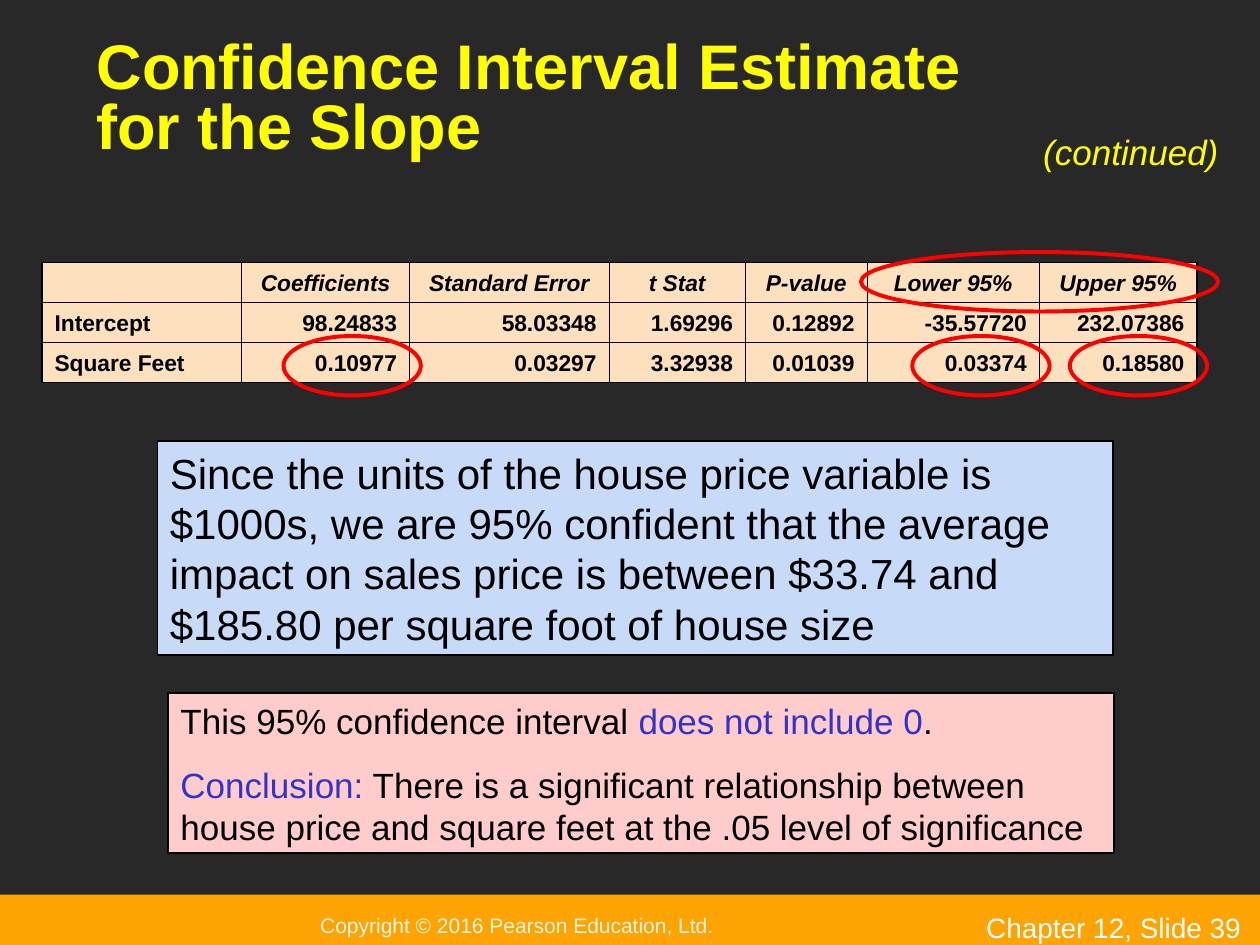
from pptx import Presentation
from pptx.dml.color import RGBColor
from pptx.enum.shapes import MSO_SHAPE as Shape
from pptx.enum.text import MSO_ANCHOR as Anchor, MSO_AUTO_SIZE as AutoSize, PP_ALIGN as Align
from pptx.oxml.ns import qn
from pptx.util import Pt
from lxml.etree import SubElement

FONT = "Arial"
BLACK, WHITE, YELLOW, RED, BLUE = "000000", "FFFFFF", "FFFF00", "FF0000", "3333CC"
COLUMNS = [114, 96, 114, 78, 69.5, 98.5, 90]
ROW_HEIGHT = 22.8
REGRESSION = [
    ["", "Coefficients", "Standard Error", "t Stat", "P-value", "Lower 95%", "Upper 95%"],
    ["Intercept", "98.24833", "58.03348", "1.69296", "0.12892", "-35.57720", "232.07386"],
    ["Square Feet", "0.10977", "0.03297", "3.32938", "0.01039", "0.03374", "0.18580"],
]


def color(hex_code):
    return RGBColor.from_string(hex_code)


def style(run, size, hex_code, bold=False, italic=False):
    font = run.font
    font.name, font.size, font.bold, font.italic = FONT, Pt(size), bold, italic
    font.color.rgb = color(hex_code)


def paint(shape, fill=None, line=None, width=1):
    shape.shadow.inherit = False
    if fill:
        shape.fill.solid()
        shape.fill.fore_color.rgb = color(fill)
    else:
        shape.fill.background()
    if line:
        shape.line.color.rgb = color(line)
        shape.line.width = Pt(width)
    else:
        shape.line.fill.background()


def add_label(slide, box, text, size, hex_code, wrap=True, italic=False):
    label = slide.shapes.add_textbox(*map(Pt, box)).text_frame
    label.word_wrap = wrap
    label.text = text
    style(label.paragraphs[0].runs[0], size, hex_code, italic=italic)


def add_note(slide, box, fill, size, paragraphs):
    """Outlined box; each paragraph is a list of (text, colour) pieces."""
    note = slide.shapes.add_shape(Shape.RECTANGLE, *map(Pt, box))
    paint(note, fill, BLACK)
    frame = note.text_frame
    frame.word_wrap = True
    frame.vertical_anchor = Anchor.TOP
    for index, pieces in enumerate(paragraphs):
        paragraph = frame.add_paragraph() if index else frame.paragraphs[0]
        paragraph.alignment = Align.LEFT
        if index:
            paragraph.space_before = Pt(12.5)
        for text, hex_code in pieces:
            run = paragraph.add_run()
            run.text = text
            style(run, size, hex_code)


def add_ring(slide, left, top, width):
    ring = slide.shapes.add_shape(Shape.OVAL, Pt(left), Pt(top), Pt(width), Pt(34))
    paint(ring, line=RED, width=2.25)


def set_borders(cell, outer_sides):
    properties = cell._tc.get_or_add_tcPr()
    for side in "LRTB":
        weight = 1.08 if side in outer_sides else 0.45
        border = SubElement(properties, qn("a:ln" + side), w=str(Pt(weight)))
        fill = SubElement(border, qn("a:solidFill"))
        SubElement(fill, qn("a:srgbClr"), val=BLACK)


def add_regression_table(slide, left, top):
    row_count, column_count = len(REGRESSION), len(COLUMNS)
    table = slide.shapes.add_table(row_count, column_count, Pt(left), Pt(top),
                                   Pt(sum(COLUMNS)), Pt(ROW_HEIGHT * row_count)).table
    table.first_row = table.horz_banding = False
    for column, width in zip(table.columns, COLUMNS):
        column.width = Pt(width)
    for r, values in enumerate(REGRESSION):
        table.rows[r].height = Pt(ROW_HEIGHT)
        for c, value in enumerate(values):
            cell = table.cell(r, c)
            at_edge = {"L": c == 0, "R": c == column_count - 1,
                       "T": r == 0, "B": r == row_count - 1}
            set_borders(cell, [side for side, outer in at_edge.items() if outer])
            cell.fill.solid()
            cell.fill.fore_color.rgb = color("FDE0BD")
            cell.vertical_anchor = Anchor.BOTTOM
            cell.text = value
            paragraph = cell.text_frame.paragraphs[0]
            paragraph.font.size = Pt(13)
            paragraph.alignment = Align.CENTER if r == 0 else Align.RIGHT if c else Align.LEFT
            for run in paragraph.runs:
                style(run, 13, BLACK, bold=True, italic=r == 0)


def set_title(slide, text):
    title = slide.shapes.title
    title.left, title.top, title.width, title.height = map(Pt, (48, 18, 624, 78))
    frame = title.text_frame
    frame.auto_size = AutoSize.NONE
    frame.word_wrap = True
    frame.vertical_anchor = Anchor.BOTTOM
    frame.text = text
    heading = frame.paragraphs[0]
    heading.alignment = Align.LEFT
    heading.line_spacing = 0.8
    for run in heading.runs:
        style(run, 36, YELLOW, bold=True)


def add_footer(slide):
    band = slide.shapes.add_shape(Shape.RECTANGLE, Pt(0), Pt(511.2), Pt(720), Pt(35.3))
    paint(band, "FEA402")
    frame = band.text_frame
    frame.margin_left = Pt(183)
    frame.margin_right = frame.margin_top = frame.margin_bottom = 0
    frame.vertical_anchor = Anchor.MIDDLE
    frame.text = "Copyright © 2016 Pearson Education, Ltd."
    frame.paragraphs[0].alignment = Align.LEFT
    style(frame.paragraphs[0].runs[0], 12, "F3F5E7")
    add_label(slide, (556.5, 517, 163.5, 23), "Chapter 12, Slide 39", 16, WHITE)


def main():
    deck = Presentation()
    deck.slide_width, deck.slide_height = Pt(720), Pt(540)
    slide = deck.slides.add_slide(deck.slide_layouts[5])
    slide.background.fill.solid()
    slide.background.fill.fore_color.rgb = color("282828")

    add_footer(slide)

    # Interpretation of the interval
    add_note(slide, (90, 252, 546, 122.4), "C7DAF7", 24, [[
        ("Since the units of the house price variable is $1000s, we are 95% confident "
         "that the average impact on sales price is between $33.74 and $185.80 per "
         "square foot of house size", BLACK)]])

    # Regression output with the slope and its limits ringed
    add_regression_table(slide, 24, 150)
    for left in (162, 521.3, 611.3):
        add_ring(slide, left, 192, 78.5)
    add_ring(slide, 492, 144, 204)

    # Conclusion
    add_note(slide, (96, 396, 540.7, 91.4), "FFCCCC", 20, [
        [("This 95% confidence interval ", BLACK), ("does not include 0", BLUE), (".", BLACK)],
        [("Conclusion:", BLUE),
         (" There is a significant relationship between house price and square feet "
          "at the .05 level of significance", BLACK)],
    ])

    # Heading
    set_title(slide, "Confidence Interval Estimate \vfor the Slope")
    add_label(slide, (589, 71.3, 114.5, 31.7), "(continued)", 20, YELLOW, wrap=False, italic=True)

    deck.save("out.pptx")


if __name__ == "__main__":
    main()
